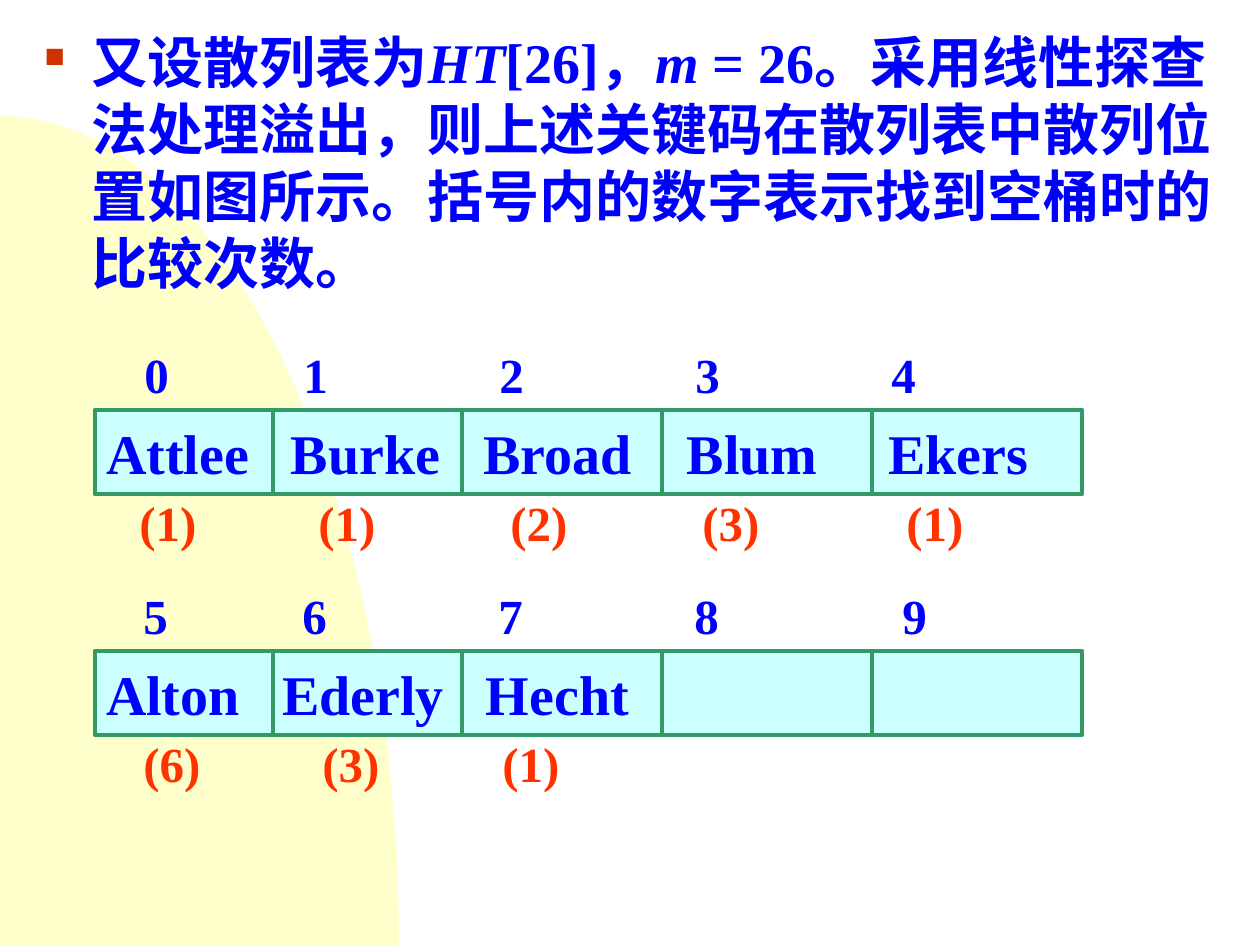
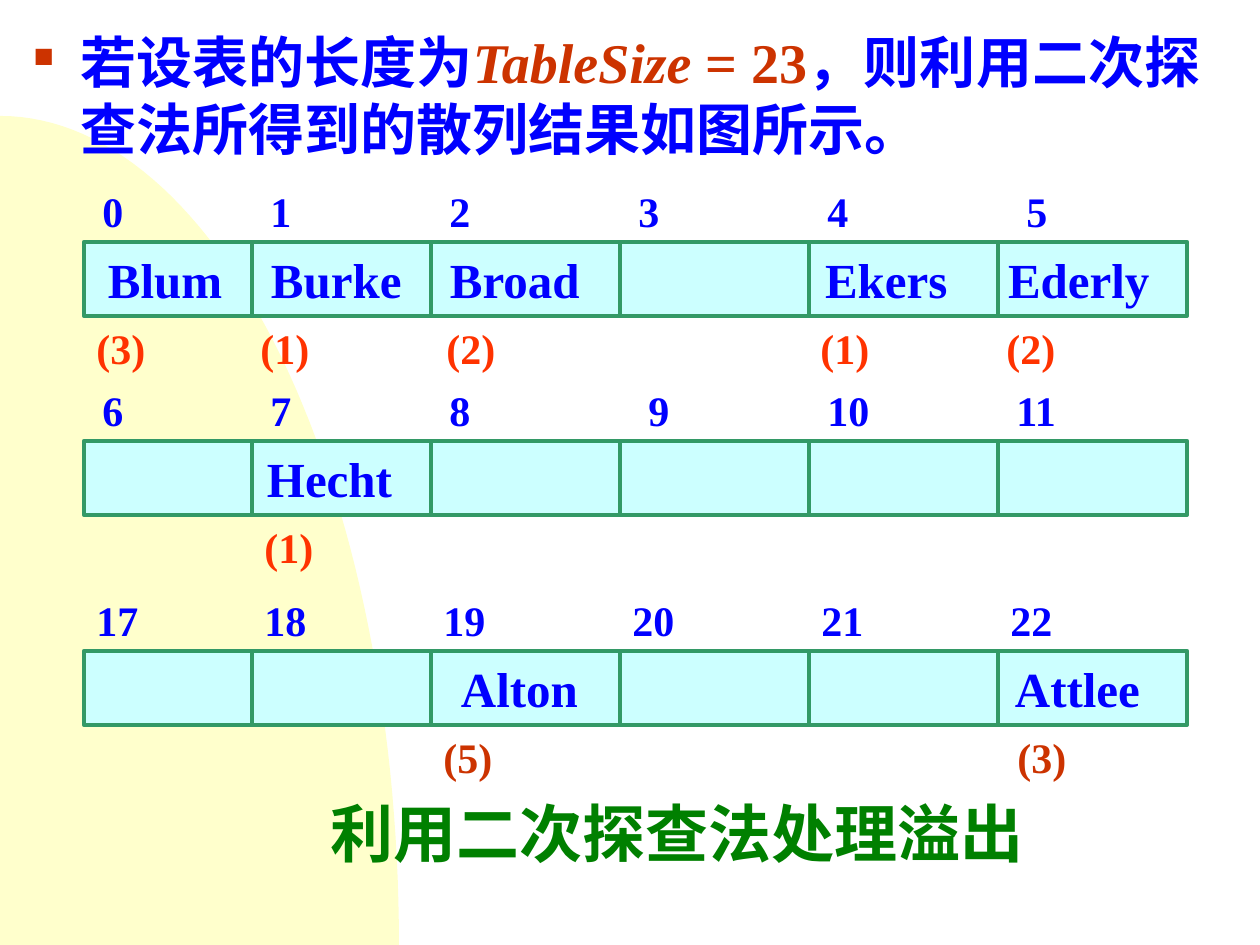
import math
from dataclasses import dataclass

import pptx
import pptx.dml.color
import pptx.enum.shapes
import pptx.enum.text
import pptx.oxml.ns
import pptx.util
from lxml import etree

EMU_PER_PX = 914400 / 126
INSET = 13


@dataclass(frozen=True)
class Theme:
    font: str = "Times New Roman"
    blue: str = "0000FF"
    red: str = "FF3300"
    rust: str = "CC3300"
    green: str = "008000"
    edge: str = "339966"
    bucket: str = "CCFFFF"
    cream: str = "FFFFCC"
    body: int = 32
    caption: int = 36
    edge_width: float = 2.5


@dataclass(frozen=True)
class BandStyle:
    left: int
    width: int
    height: int
    dividers: tuple
    key_size: int
    label_size: int
    label_height: int
    count_gap: int


THEME = Theme()
FIVE_BUCKETS = BandStyle(95, 987, 84, (178, 367, 567, 777), 32, 28, 72, -8)
SIX_BUCKETS = BandStyle(84, 1103, 74, (168, *range(347, 1103, 189)), 28, 24, 63, 0)


def px(length):
    return pptx.util.Emu(round(length * EMU_PER_PX))


def rgb(color):
    return pptx.dml.color.RGBColor.from_string(color)


def add_xml(parent, tag, **attributes):
    return etree.SubElement(parent, pptx.oxml.ns.qn(tag), attributes)


def add_run(paragraph, text, size, color, italic=False):
    run = paragraph.add_run()
    run.text = text
    run.font.name = THEME.font
    run.font.size = pptx.util.Pt(size)
    run.font.bold = True
    run.font.italic = italic
    run.font.color.rgb = rgb(color)


def add_text_frame(slide, left, top, width, height):
    frame = slide.shapes.add_textbox(px(left), px(top), px(width), px(height)).text_frame
    frame.word_wrap = True
    return frame


def write_entries(frame, entries, size, color):
    paragraph = frame.paragraphs[0]
    paragraph.alignment = pptx.enum.text.PP_ALIGN.LEFT
    start = entries[0][0]
    if len(entries) > 1:
        stops = add_xml(paragraph._p.get_or_add_pPr(), "a:tabLst")
        for x, _ in entries[1:]:
            add_xml(stops, "a:tab", pos=str(px(x - start)), algn="l")
    add_run(paragraph, "\t".join(text for _, text in entries), size, color)


def draw_backdrop(slide, radius_x=399, radius_y=829, center_y=945, steps=60):
    angles = [math.pi / 2 * step / steps for step in range(steps + 1)]
    curve = [(px(radius_x * math.sin(a)), px(center_y - radius_y * math.cos(a))) for a in angles]
    builder = slide.shapes.build_freeform(0, px(center_y), scale=1.0)
    builder.add_line_segments(curve, close=True)
    hill = builder.convert_to_shape()
    hill.shadow.inherit = False
    hill.fill.solid()
    hill.fill.fore_color.rgb = rgb(THEME.cream)
    hill.line.fill.background()


def draw_statement(slide, box, runs):
    paragraph = add_text_frame(slide, *box).paragraphs[0]
    paragraph.space_before = pptx.util.Pt(8)
    properties = paragraph._p.get_or_add_pPr()
    properties.set("marL", str(px(47)))
    properties.set("indent", str(px(-47)))
    add_xml(add_xml(properties, "a:buClr"), "a:srgbClr", val=THEME.rust)
    add_xml(properties, "a:buSzPct", val="50000")
    add_xml(properties, "a:buChar", char="■")
    for text, color, italic in runs:
        add_run(paragraph, text, THEME.body, color, italic)


def draw_labels(slide, top, style, entries, color):
    first, last = entries[0][0], entries[-1][0]
    tail = round(len(entries[-1][1]) * style.label_size * 0.9)
    frame = add_text_frame(slide, first - INSET, top, last - first + tail + 2 * INSET, style.label_height)
    write_entries(frame, entries, style.label_size, color)


def draw_edge(line):
    line.color.rgb = rgb(THEME.edge)
    line.width = pptx.util.Pt(THEME.edge_width)


def draw_buckets(slide, top, style, keys):
    band = slide.shapes.add_shape(
        pptx.enum.shapes.MSO_SHAPE.RECTANGLE,
        px(style.left), px(top), px(style.width), px(style.height),
    )
    band.shadow.inherit = False
    band.fill.solid()
    band.fill.fore_color.rgb = rgb(THEME.bucket)
    draw_edge(band.line)
    frame = band.text_frame
    frame.word_wrap = True
    frame.vertical_anchor = pptx.enum.text.MSO_ANCHOR.MIDDLE
    if keys:
        frame.margin_left = px(keys[0][0] - style.left)
        write_entries(frame, keys, style.key_size, THEME.blue)
    for offset in style.dividers:
        x = px(style.left + offset)
        divider = slide.shapes.add_connector(
            pptx.enum.shapes.MSO_CONNECTOR.STRAIGHT, x, px(top + style.height), x, px(top)
        )
        draw_edge(divider.line)
        add_xml(divider._element.spPr, "a:effectLst")


def draw_band(slide, top, style, indices, keys, counts, count_color=THEME.red):
    draw_labels(slide, top - style.label_height, style, indices, THEME.blue)
    draw_buckets(slide, top, style, keys)
    draw_labels(slide, top + style.height + style.count_gap, style, counts, count_color)


def draw_caption(slide, box, text):
    add_run(add_text_frame(slide, *box).paragraphs[0], text, THEME.caption, THEME.green)


def new_slide(deck):
    slide = deck.slides.add_slide(deck.slide_layouts[6])
    draw_backdrop(slide)
    return slide


def build_linear_probing(deck):
    slide = new_slide(deck)
    draw_statement(slide, (32, 21, 1197, 294), [
        ("又设散列表为", THEME.blue, False),
        ("HT", THEME.blue, True),
        ("[26]，", THEME.blue, False),
        ("m", THEME.blue, True),
        (" = 26。采用线性探查法处理溢出，则上述关键码在散列表中散列位置如图所示。"
         "括号内的数字表示找到空桶时的比较次数。", THEME.blue, False),
    ])
    draw_band(
        slide, 410, FIVE_BUCKETS,
        indices=[(145, "0"), (304, "1"), (500, "2"), (696, "3"), (892, "4")],
        keys=[(106, "Attlee"), (291, "Burke"), (483, "Broad"), (687, "Blum"), (888, "Ekers")],
        counts=[(140, "(1)"), (319, "(1)"), (511, "(2)"), (703, "(3)"), (907, "(1)")],
    )
    draw_band(
        slide, 651, FIVE_BUCKETS,
        indices=[(144, "5"), (303, "6"), (499, "7"), (695, "8"), (903, "9")],
        keys=[(106, "Alton"), (282, "Ederly"), (486, "Hecht")],
        counts=[(144, "(6)"), (323, "(3)"), (503, "(1)")],
    )


def build_quadratic_probing(deck):
    slide = new_slide(deck)
    draw_statement(slide, (21, 21, 1229, 567), [
        ("若设表的长度为", THEME.blue, False),
        ("TableSize ", THEME.rust, True),
        ("= 23", THEME.rust, False),
        ("，则利用二次探查法所得到的散列结果如图所示。", THEME.blue, False),
    ])
    draw_band(
        slide, 242, SIX_BUCKETS,
        indices=[(103, "0"), (271, "1"), (450, "2"), (639, "3"), (828, "4"), (1027, "5")],
        keys=[(108, "Blum"), (271, "Burke"), (450, "Broad"), (825, "Ekers"), (1008, "Ederly")],
        counts=[(97, "(3)"), (261, "(1)"), (447, "(2)"), (821, "(1)"), (1007, "(2)")],
    )
    draw_band(
        slide, 441, SIX_BUCKETS,
        indices=[(103, "6"), (271, "7"), (450, "8"), (649, "9"), (828, "10"), (1017, "11")],
        keys=[(267, "Hecht")],
        counts=[(265, "(1)")],
    )
    draw_band(
        slide, 651, SIX_BUCKETS,
        indices=[(97, "17"), (265, "18"), (444, "19"), (633, "20"), (822, "21"), (1011, "22")],
        keys=[(461, "Alton"), (1015, "Attlee")],
        counts=[(444, "(5)"), (1018, "(3)")],
        count_color=THEME.rust,
    )
    draw_caption(slide, (318, 788, 740, 88), "利用二次探查法处理溢出")


def main():
    deck = pptx.Presentation()
    deck.slide_width, deck.slide_height = px(1260), px(945)
    build_linear_probing(deck)
    build_quadratic_probing(deck)
    deck.save("out.pptx")


if __name__ == "__main__":
    main()
